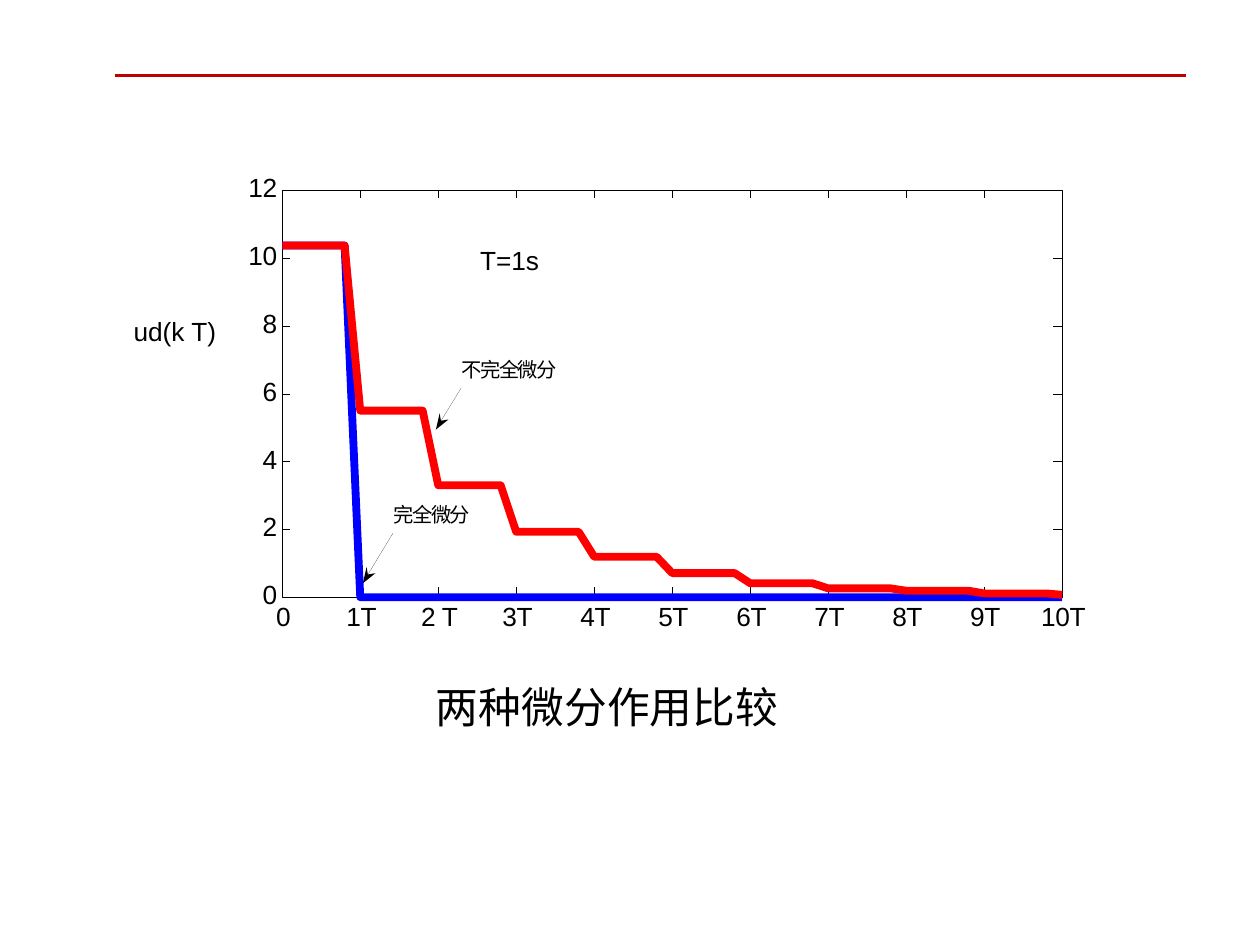
from lxml import etree
from pptx import Presentation
from pptx.dml.color import RGBColor
from pptx.enum.shapes import MSO_CONNECTOR, MSO_SHAPE
from pptx.enum.text import MSO_ANCHOR, MSO_AUTO_SIZE, PP_ALIGN
from pptx.oxml.ns import qn
from pptx.util import Inches, Pt

STRAIGHT = MSO_CONNECTOR.STRAIGHT
RECTANGLE = MSO_SHAPE.RECTANGLE
TOP = MSO_ANCHOR.TOP
NO_AUTOFIT = MSO_AUTO_SIZE.NONE
LEFT, CENTER, RIGHT = PP_ALIGN.LEFT, PP_ALIGN.CENTER, PP_ALIGN.RIGHT

COLORS = {"black": "000000", "red": "FF0000", "blue": "0000FF", "rule": "C00000"}
FONT = "Arial"

CAPTION = "两种微分作用比较"
X_LABELS = ["0", "1T", "2 T", "3T", "4T", "5T", "6T", "7T", "8T", "9T", "10T"]
Y_LABELS = ["0", "2", "4", "6", "8", "10", "12"]
INCOMPLETE_LEVELS = [10.37, 5.5, 3.3, 1.93, 1.19, 0.71, 0.41, 0.26, 0.19, 0.11]
INCOMPLETE_END = 0.07
COMPLETE_POINTS = [(0, 10.37), (0.8, 10.37), (1, 0), (10, 0)]
NOTES = [
    {"text": "不完全微分", "box": (3.66, 2.84, 0.96, 0.22),
     "start": (3.66, 3.08), "tip": (3.46, 3.41)},
    {"text": "完全微分", "box": (3.12, 3.99, 0.78, 0.22),
     "start": (3.12, 4.23), "tip": (2.88, 4.63)},
]
PLAIN_TEXTS = [("T=1s", (3.81, 1.97, 0.55, 0.23)), ("ud(k T)", (1.06, 2.53, 0.91, 0.61))]

PLOT_LEFT, PLOT_TOP, PLOT_WIDTH, PLOT_HEIGHT = 2.24, 1.51, 6.19, 3.23
PLOT_RIGHT, PLOT_BOTTOM = PLOT_LEFT + PLOT_WIDTH, PLOT_TOP + PLOT_HEIGHT
X_MAX, Y_MAX = 10, 12
HAIRLINE = 0.15
ARROWHEAD = [(0, 0), (0.1, -0.08), (0.04, -0.07), (0.03, -0.13)]

presentation = Presentation()
presentation.slide_width, presentation.slide_height = Inches(10), Inches(7.5)
slide = presentation.slides.add_slide(presentation.slide_layouts[5])


def color(name):
    return RGBColor.from_string(COLORS[name])


def plot_x(value):
    return PLOT_LEFT + PLOT_WIDTH * value / X_MAX


def plot_y(value):
    return PLOT_BOTTOM - PLOT_HEIGHT * value / Y_MAX


def add_text(text, box, size=15, align=LEFT, leading=16, before=0.8,
             baseline=0, spacing=0, shape=None):
    bounds = [Inches(length) for length in box]
    if shape is None:
        shape = slide.shapes.add_textbox(*bounds)
    else:
        shape.left, shape.top, shape.width, shape.height = bounds
    frame = shape.text_frame
    frame.word_wrap = True
    frame.auto_size = NO_AUTOFIT
    frame.vertical_anchor = TOP
    frame.margin_left = frame.margin_right = frame.margin_top = frame.margin_bottom = 0
    paragraph = frame.paragraphs[0]
    paragraph.alignment = align
    paragraph.line_spacing, paragraph.space_before = Pt(leading), Pt(before)
    run = paragraph.add_run()
    run.text = text
    run.font.name, run.font.size = FONT, Pt(size)
    run.font.color.rgb = color("black")
    properties = run.font._element
    if baseline:
        properties.set("baseline", str(baseline * 1000))
    if spacing:
        properties.set("spc", str(round(spacing * 100)))


def add_line(start, end, name="black", width=HAIRLINE):
    connector = slide.shapes.add_connector(
        STRAIGHT, *[Inches(length) for length in (*start, *end)])
    connector.line.color.rgb = color(name)
    connector.line.width = Pt(width)
    etree.SubElement(connector._element.spPr, qn("a:effectLst"))


def add_outline(points, close):
    corners = [(Inches(x), Inches(y)) for x, y in points]
    builder = slide.shapes.build_freeform(*corners[0])
    builder.add_line_segments(corners[1:], close=close)
    shape = builder.convert_to_shape()
    shape.shadow.inherit = False
    return shape


def add_curve(values, name):
    curve = add_outline([(plot_x(x), plot_y(y)) for x, y in values], close=False)
    curve.fill.background()
    curve.line.color.rgb = color(name)
    curve.line.width = Pt(4.48)


def add_arrow(start, tip):
    corners = [(tip[0] + x, tip[1] + y) for x, y in ARROWHEAD]
    add_line(start, corners[2], width=0.06)
    head = add_outline(corners, close=True)
    head.fill.solid()
    head.fill.fore_color.rgb = color("black")
    head.line.fill.background()


add_text(CAPTION, (3.46, 5.44, 3.24, 0.42), size=42, leading=29.1, before=1.4,
         baseline=-3, spacing=0.1, shape=slide.shapes.title)

plot_frame = slide.shapes.add_shape(
    RECTANGLE, Inches(PLOT_LEFT), Inches(PLOT_TOP), Inches(PLOT_WIDTH), Inches(PLOT_HEIGHT))
plot_frame.shadow.inherit = False
plot_frame.fill.background()
plot_frame.line.color.rgb = color("black")
plot_frame.line.width = Pt(HAIRLINE)

for index, label in enumerate(X_LABELS):
    x = plot_x(index)
    if 0 < index < X_MAX:
        add_line((x, PLOT_BOTTOM - 0.08), (x, PLOT_BOTTOM))
        add_line((x, PLOT_TOP), (x, PLOT_TOP + 0.06))
    add_text(label, (x - 0.19, 4.79, 0.4, 0.23), align=CENTER, spacing=-0.2)

for index, label in enumerate(Y_LABELS):
    y = plot_y(index * 2)
    if 0 < index < len(Y_LABELS) - 1:
        add_line((PLOT_LEFT, y), (PLOT_LEFT + 0.06, y))
        add_line((PLOT_RIGHT - 0.07, y), (PLOT_RIGHT, y))
    add_text(label, (1.9, y - 0.12, 0.3, 0.23), align=RIGHT, spacing=-0.2)

incomplete_points = [(period + offset, level)
                     for period, level in enumerate(INCOMPLETE_LEVELS)
                     for offset in (0, 0.8)] + [(X_MAX, INCOMPLETE_END)]
add_curve(COMPLETE_POINTS, "blue")
add_curve(incomplete_points, "red")

for note in NOTES:
    add_arrow(note["start"], note["tip"])
    add_text(note["text"], note["box"], size=20, leading=14.6, before=0.7,
             baseline=-3, spacing=-0.8)

for text, box in PLAIN_TEXTS:
    add_text(text, box)

add_line((0.91, 0.6), (9.41, 0.6), name="rule", width=1.5)

presentation.save("out.pptx")
